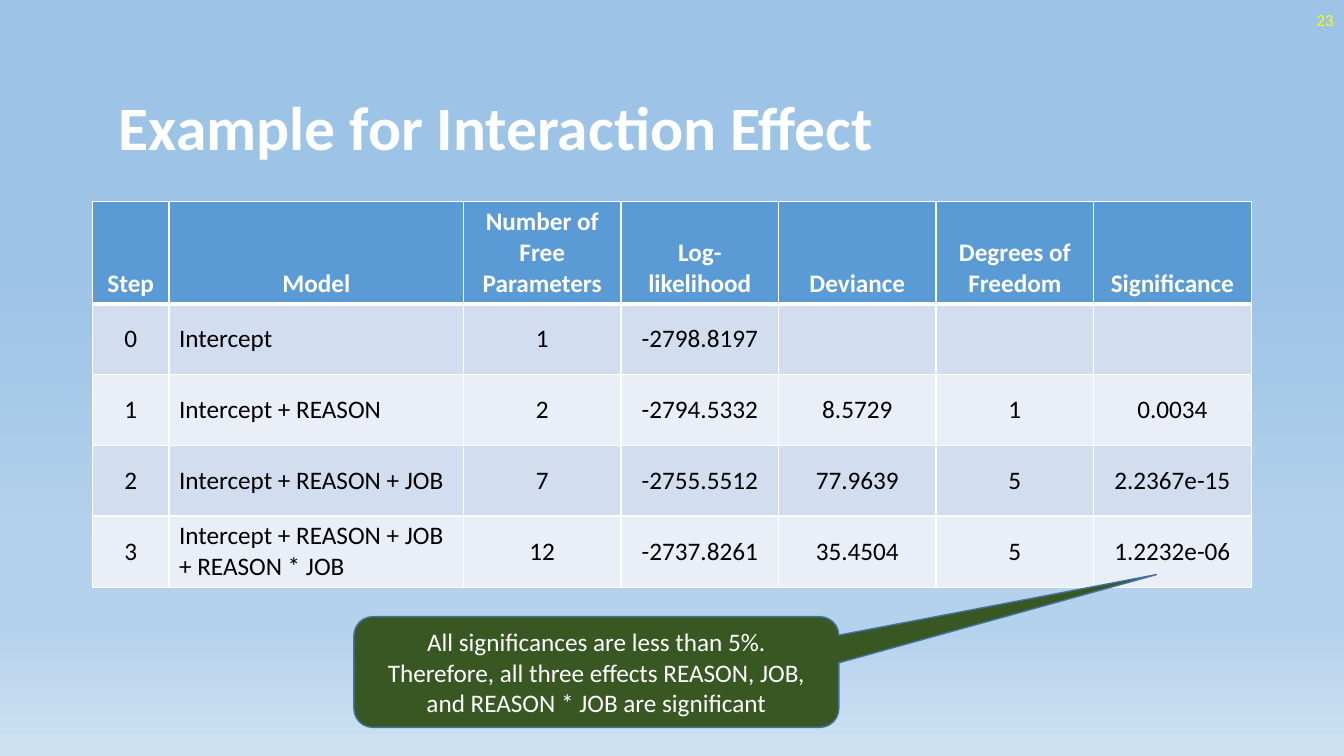
from lxml import etree
from pptx import Presentation
from pptx.dml.color import RGBColor
from pptx.enum.shapes import MSO_SHAPE
from pptx.enum.text import MSO_ANCHOR, PP_ALIGN
from pptx.oxml.ns import qn
from pptx.util import Cm, Pt

LEFT, CENTER, RIGHT = PP_ALIGN.LEFT, PP_ALIGN.CENTER, PP_ALIGN.RIGHT
MIDDLE, BOTTOM = MSO_ANCHOR.MIDDLE, MSO_ANCHOR.BOTTOM
CALLOUT = MSO_SHAPE.ROUNDED_RECTANGULAR_CALLOUT

WHITE = RGBColor(0xFF, 0xFF, 0xFF)
BLACK = RGBColor(0x00, 0x00, 0x00)
YELLOW = RGBColor(0xFF, 0xFF, 0x00)
HEADER_BLUE = RGBColor(0x5B, 0x9B, 0xD5)
BAND_DARK = RGBColor(0xD2, 0xDE, 0xEF)
BAND_LIGHT = RGBColor(0xEA, 0xEF, 0xF7)
GREEN = RGBColor(0x38, 0x57, 0x23)
OUTLINE_BLUE = RGBColor(0x43, 0x73, 0x9E)
SKY_TOP = RGBColor(0x9D, 0xC3, 0xE6)
SKY_MIDDLE = RGBColor(0xB5, 0xD2, 0xEC)
SKY_BOTTOM = RGBColor(0xCE, 0xE1, 0xF2)

SKY_STOPS = [(35, SKY_TOP), (74, SKY_MIDDLE), (83, SKY_MIDDLE), (100, SKY_BOTTOM)]
COLUMN_WIDTHS = [1.93, 7.42] + [3.97] * 5
ROW_HEIGHTS = [2.56] + [1.78] * 4
MODEL_STEPS = [
    ["Step", "Model", "Number of Free Parameters", "Log-likelihood",
     "Deviance", "Degrees of Freedom", "Significance"],
    ["0", "Intercept", "1", "-2798.8197", "", "", ""],
    ["1", "Intercept + REASON", "2", "-2794.5332", "8.5729", "1", "0.0034"],
    ["2", "Intercept + REASON + JOB", "7", "-2755.5512", "77.9639", "5", "2.2367e-15"],
    ["3", "Intercept + REASON + JOB + REASON * JOB", "12", "-2737.8261",
     "35.4504", "5", "1.2232e-06"],
]


class SlideBuilder:
    font = "Calibri"

    def __init__(self, slide):
        self.s = slide

    def background(self, stops):
        fill = self.s.background.fill
        fill.gradient()
        fill.gradient_angle = 270
        gs_list = self.s.element.find(".//" + qn("a:gsLst"))
        for gs in list(gs_list):
            gs_list.remove(gs)
        for percent, color in stops:
            gs = etree.SubElement(gs_list, qn("a:gs"), pos=str(percent * 1000))
            etree.SubElement(gs, qn("a:srgbClr"), val=str(color))

    def style_text(self, tf, text, size, color, align, bold=False):
        tf.word_wrap = True
        tf.text = text
        p = tf.paragraphs[0]
        p.alignment = align
        for r in p.runs:
            r.font.name = self.font
            r.font.size = Pt(size)
            r.font.bold = bold
            r.font.color.rgb = color
        return p

    def text(self, x, y, w, h, text, size, color, align=LEFT, bold=False):
        sp = self.s.shapes.add_textbox(Cm(x), Cm(y), Cm(w), Cm(h))
        sp.text_frame.vertical_anchor = MIDDLE
        return self.style_text(sp.text_frame, text, size, color, align, bold)

    def borders(self, cell, top, bottom):
        tc_pr = cell._tc.get_or_add_tcPr()
        for side, points in (("L", 1), ("R", 1), ("T", top), ("B", bottom)):
            ln = etree.SubElement(tc_pr, qn("a:ln" + side), w=str(Pt(points)))
            solid = etree.SubElement(ln, qn("a:solidFill"))
            etree.SubElement(solid, qn("a:srgbClr"), val=str(WHITE))

    def table(self, x, y, widths, heights, rows):
        frame = self.s.shapes.add_table(len(rows), len(widths), Cm(x), Cm(y),
                                        Cm(sum(widths)), Cm(sum(heights)))
        table = frame.table
        for column, width in zip(table.columns, widths):
            column.width = Cm(width)
        for i, (row, height, values) in enumerate(zip(table.rows, heights, rows)):
            row.height = Cm(height)
            header = i == 0
            band = HEADER_BLUE if header else BAND_DARK if i % 2 else BAND_LIGHT
            for j, (cell, value) in enumerate(zip(row.cells, values)):
                self.borders(cell, 3 if i == 1 else 1, 3 if header else 1)
                cell.fill.solid()
                cell.fill.fore_color.rgb = band
                cell.vertical_anchor = BOTTOM if header else MIDDLE
                self.style_text(cell.text_frame, value, 18, WHITE if header else BLACK,
                                LEFT if j == 1 and not header else CENTER, header)

    def callout(self, x, y, w, h, text, adjustments):
        sp = self.s.shapes.add_shape(CALLOUT, Cm(x), Cm(y), Cm(w), Cm(h))
        sp.shadow.inherit = False
        for i, value in enumerate(adjustments):
            sp.adjustments[i] = value
        sp.fill.solid()
        sp.fill.fore_color.rgb = GREEN
        sp.line.color.rgb = OUTLINE_BLUE
        sp.line.width = Pt(1)
        sp.text_frame.vertical_anchor = MIDDLE
        self.style_text(sp.text_frame, text, 18, WHITE, CENTER)


def main():
    prs = Presentation()
    prs.slide_width, prs.slide_height = Cm(33.87), Cm(19.05)
    slide = SlideBuilder(prs.slides.add_slide(prs.slide_layouts[6]))
    slide.background(SKY_STOPS)
    slide.table(2.33, 5.08, COLUMN_WIDTHS, ROW_HEIGHTS, MODEL_STEPS)
    slide.text(26.24, 0, 7.62, 1.02, "23", 12, YELLOW, RIGHT)
    title = slide.text(2.74, 1.45, 29.21, 3.68, "Example for Interaction Effect",
                       44, WHITE, bold=True)
    title.line_spacing = 0.9
    slide.callout(8.92, 15.54, 12.22, 2.79,
                  "All significances are less than 5%.\vTherefore, all three effects "
                  "REASON, JOB, and REASON * JOB are significant",
                  [1.155, -0.88, 0.17])
    prs.save("out.pptx")


if __name__ == "__main__":
    main()
